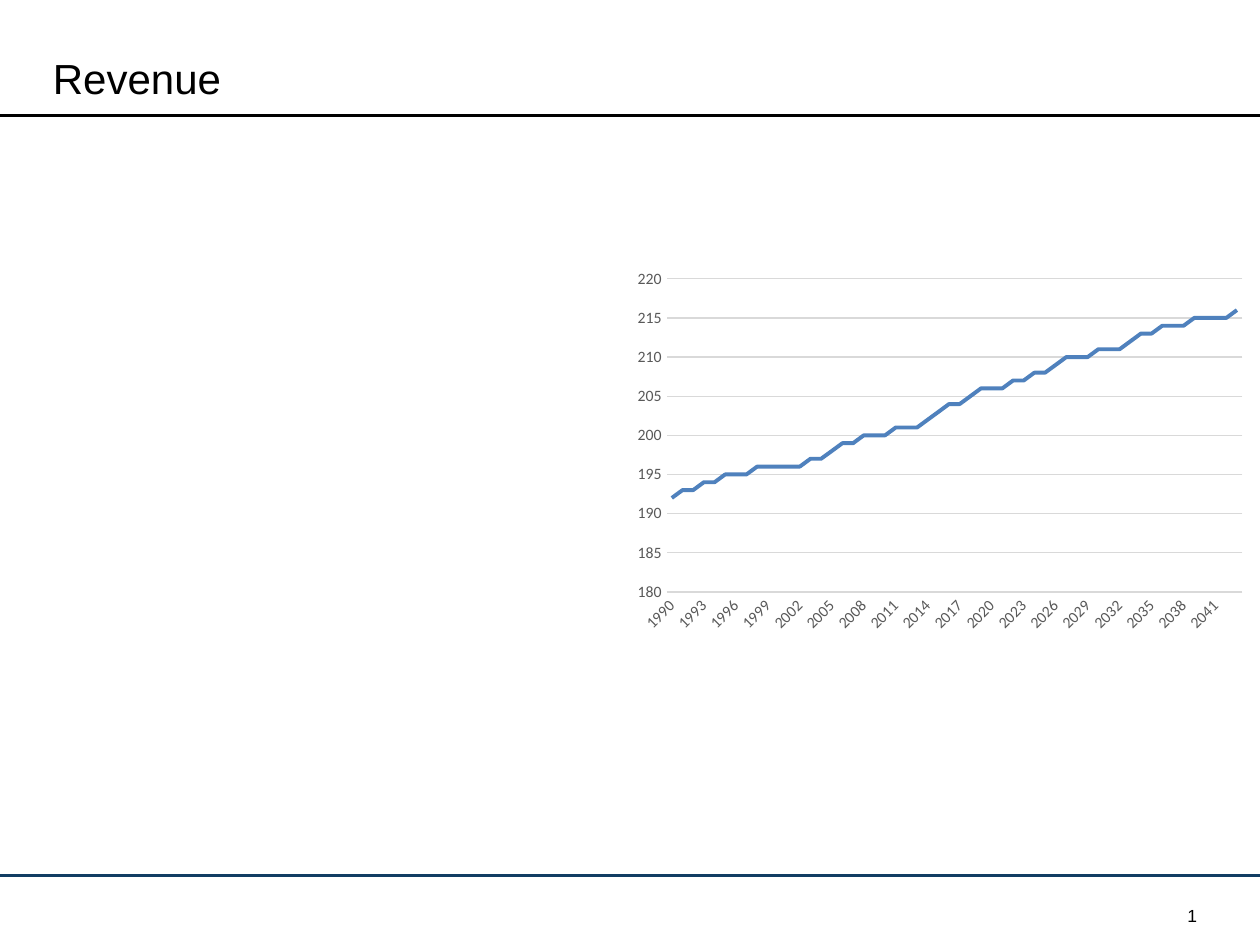
from lxml.etree import SubElement
from pptx import Presentation
from pptx.chart.data import CategoryChartData
from pptx.dml.color import RGBColor
from pptx.enum.chart import XL_CHART_TYPE, XL_MARKER_STYLE, XL_TICK_MARK
from pptx.enum.shapes import MSO_CONNECTOR
from pptx.enum.text import MSO_ANCHOR, PP_ALIGN
from pptx.oxml.ns import qn
from pptx.util import Inches, Pt

FIRST_YEAR = 1990
REVENUE = [
    192, 193, 193, 194, 194, 195, 195, 195, 196, 196, 196, 196, 196, 197,
    197, 198, 199, 199, 200, 200, 200, 201, 201, 201, 202, 203, 204, 204,
    205, 206, 206, 206, 207, 207, 208, 208, 209, 210, 210, 210, 211, 211,
    211, 212, 213, 213, 214, 214, 214, 215, 215, 215, 215, 216,
]


def rgb(value):
    return RGBColor.from_string(value)


class Deck:
    """Slide style; lengths are columns and rows of a one-inch grid."""
    cols, rows = 10, 7.5
    font, chart_font = "Arial", "Calibri"
    ink, navy, blue = "000000", "113D63", "4F81BD"
    grey, pale = "595959", "D9D9D9"

    def __init__(self):
        self.prs = Presentation()
        self.prs.slide_width = Inches(self.cols)
        self.prs.slide_height = Inches(self.rows)

    def add_slide(self):
        self.s = self.prs.slides.add_slide(self.prs.slide_layouts[6])

    def rule(self, row, color):
        y = Inches(row)
        ln = self.s.shapes.add_connector(
            MSO_CONNECTOR.STRAIGHT, 0, y, Inches(self.cols), y)
        self.stroke(ln.line, color, 1.75)
        SubElement(ln._element.spPr, qn("a:effectLst"))

    def text(self, box, words, size, align, anchor):
        sp = self.s.shapes.add_textbox(*map(Inches, box))
        tf = sp.text_frame
        tf.word_wrap = True
        tf.vertical_anchor = anchor
        tf.margin_left = tf.margin_right = tf.margin_top = tf.margin_bottom = 0
        p = tf.paragraphs[0]
        p.alignment = align
        r = p.add_run()
        r.text = words
        self.style(r.font, self.font, size, self.ink)

    def line_chart(self, box, name, first, values):
        data = CategoryChartData()
        data.categories = [str(first + i) for i in range(len(values))]
        data.add_series(name, values)
        chart = self.s.shapes.add_chart(
            XL_CHART_TYPE.LINE, *map(Inches, box), data).chart
        chart.has_legend = chart.has_title = False
        self.style(chart.font, self.chart_font, 10, self.ink)

        # Series
        plot = chart.plots[0]
        plot.vary_by_categories = False
        series = plot.series[0]
        series.smooth = False
        series.marker.style = XL_MARKER_STYLE.NONE
        self.stroke(series.format.line, self.blue, 2.25)

        # Axes
        years, amounts = chart.category_axis, chart.value_axis
        for axis in (years, amounts):
            axis.major_tick_mark = axis.minor_tick_mark = XL_TICK_MARK.NONE
            self.style(axis.tick_labels.font, self.chart_font, 9, self.grey)
        self.stroke(years.format.line, self.pale, 0.75)
        amounts.format.line.fill.background()
        self.stroke(amounts.major_gridlines.format.line, self.pale, 0.75)
        amounts.minimum_scale, amounts.maximum_scale = 180, 220
        amounts.major_unit = 5

        # Slanted label for every third year
        years._element.txPr.find(qn("a:bodyPr")).set("rot", "-2700000")
        skip = years._element.makeelement(qn("c:tickLblSkip"), {"val": "3"})
        years._element.find(qn("c:noMultiLvlLbl")).addprevious(skip)

    @staticmethod
    def style(font, name, size, color):
        font.name, font.size, font.bold = name, Pt(size), False
        font.color.rgb = rgb(color)

    @staticmethod
    def stroke(line, color, width):
        line.color.rgb = rgb(color)
        line.width = Pt(width)


def main():
    deck = Deck()
    deck.add_slide()

    # Frame rules
    deck.rule(6.95, deck.navy)
    deck.rule(0.92, deck.ink)

    # Title and page number
    deck.text((0.42, 0.42, 9, 0.4), "Revenue", 24,
              PP_ALIGN.JUSTIFY, MSO_ANCHOR.MIDDLE)
    deck.text((7.17, 7.18, 2.33, 0.17), "1", 10,
              PP_ALIGN.RIGHT, MSO_ANCHOR.BOTTOM)

    # Revenue by year
    deck.line_chart((4.96, 2.08, 5, 3), "Series 1", FIRST_YEAR, REVENUE)

    deck.prs.save("out.pptx")


if __name__ == "__main__":
    main()
